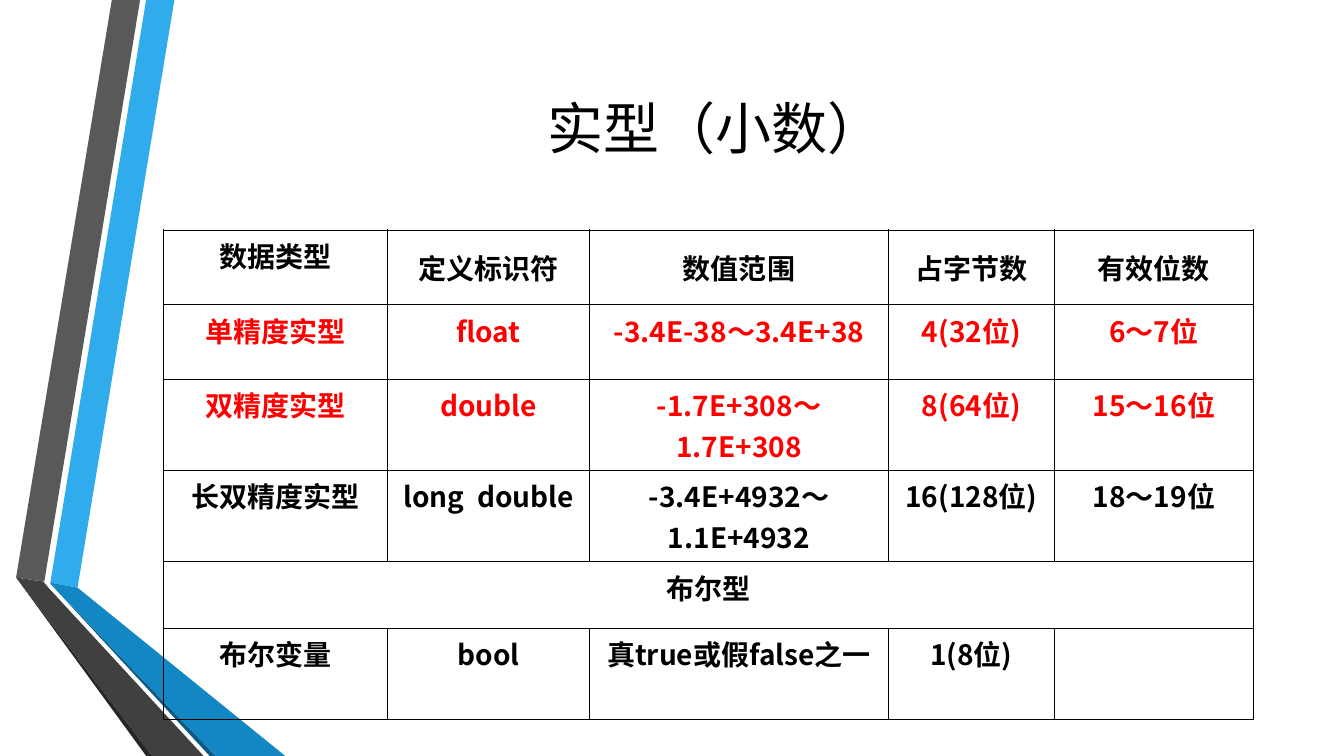
from lxml import etree
from pptx import Presentation, util as u
from pptx.dml.color import RGBColor
from pptx.enum import text
from pptx.oxml.ns import qn

# Content
TITLE = "实型（小数）"
HEADER = ("数据类型", "定义标识符", "数值范围", "占字节数", "有效位数")
TYPES = [
    ("单精度实型", "float", "-3.4E-38～3.4E+38", "4(32位)", "6～7位"),
    ("双精度实型", "double", "-1.7E+308～1.7E+308", "8(64位)", "15～16位"),
    ("长双精度实型", "long  double", "-3.4E+4932～1.1E+4932", "16(128位)", "18～19位"),
    ("布尔型", "", "", "", ""),
    ("布尔变量", "bool", "真true或假false之一", "1(8位)", ""),
]
ROWS = [HEADER] + TYPES
HIGHLIGHTED_ROWS = (1, 2)
SECTION_ROW = 4

COLUMN_WIDTHS = (2.22, 2.01, 2.96, 1.65, 1.97)
ROW_HEIGHTS = (0.74, 0.74, 0.74, 0.74, 0.66, 0.9)

# Ribbon facets, back to front: colour and corner points in inches
RIBBON = [
    ("30ACEC", [(0.5, 5.78), (0.77, 5.83), (1.73, 0), (1.45, 0)]),
    ("595959", [(1.39, 0), (1.11, 0), (0.16, 5.73), (0.44, 5.77)]),
    ("262626", [(0.16, 5.73), (1.45, 7.5), (1.51, 7.5)]),
    ("0C5A82", [(0.5, 5.79), (2.08, 7.5), (2.14, 7.5)]),
    ("1287C3", [(0.5, 5.79), (2.14, 7.5), (2.83, 7.5), (0.77, 5.83), (0.5, 5.78)]),
    ("404040", [(2.02, 7.5), (0.48, 5.83), (0.43, 5.77), (0.16, 5.73), (1.51, 7.5)]),
]

THEME = {
    "text": "000000", "highlight": "FF0000", "border": "000000",
    "title_font": "Calibri", "table_font": "Noto Sans CJK SC",
    "title_size": 40, "table_size": 20, "space_before": 4, "border_width": 0.5,
}


def add_run(paragraph, words, font, size, color, bold=False):
    paragraph.alignment = text.PP_ALIGN.CENTER
    run = paragraph.add_run()
    run.text = words
    run.font.name = font
    run.font.size = u.Pt(size)
    run.font.bold = bold
    run.font.color.rgb = RGBColor.from_string(color)
    return run


def add_facet(slide, color, points):
    corners = [(u.Inches(x), u.Inches(y)) for x, y in points]
    builder = slide.shapes.build_freeform(*corners[0], scale=1.0)
    builder.add_line_segments(corners[1:], close=True)
    shape = builder.convert_to_shape()
    shape.shadow.inherit = False
    shape.fill.solid()
    shape.fill.fore_color.rgb = RGBColor.from_string(color)
    shape.line.fill.background()


def add_borders(cell):
    properties = cell._tc.get_or_add_tcPr()
    for position, side in enumerate(("lnL", "lnR", "lnT", "lnB")):
        line = etree.Element(qn("a:" + side), w=str(u.Pt(THEME["border_width"])))
        fill = etree.SubElement(line, qn("a:solidFill"))
        etree.SubElement(fill, qn("a:srgbClr"), val=THEME["border"])
        properties.insert(position, line)


def fill_cell(cell, words, color, anchor):
    cell.fill.background()
    add_borders(cell)
    cell.vertical_anchor = anchor
    if not words:
        return
    paragraph = cell.text_frame.paragraphs[0]
    paragraph.space_before = u.Pt(THEME["space_before"])
    run = add_run(paragraph, words, THEME["table_font"], THEME["table_size"], color, True)
    etree.SubElement(run._r.get_or_add_rPr(), qn("a:ea"), typeface=THEME["table_font"])


def add_type_table(slide):
    frame = slide.shapes.add_table(
        len(ROWS), len(HEADER), u.Inches(1.62), u.Inches(2.28),
        u.Inches(sum(COLUMN_WIDTHS)), u.Inches(sum(ROW_HEIGHTS)))
    table = frame.table
    table.first_row = table.horz_banding = False
    for column, width in zip(table.columns, COLUMN_WIDTHS):
        column.width = u.Inches(width)
    for row, height in zip(table.rows, ROW_HEIGHTS):
        row.height = u.Inches(height)
    for r, row in enumerate(ROWS):
        color = THEME["highlight" if r in HIGHLIGHTED_ROWS else "text"]
        for c, words in enumerate(row):
            centred = r == 0 and c > 0
            anchor = text.MSO_ANCHOR.MIDDLE if centred else text.MSO_ANCHOR.TOP
            fill_cell(table.cell(r, c), words, color, anchor)
    table.cell(SECTION_ROW, 0).merge(table.cell(SECTION_ROW, len(HEADER) - 1))


def main():
    presentation = Presentation()
    presentation.slide_width = u.Inches(13.33)
    presentation.slide_height = u.Inches(7.5)
    slide = presentation.slides.add_slide(presentation.slide_layouts[5])

    # Folded ribbon on the left
    for color, points in RIBBON:
        add_facet(slide, color, points)

    # Title
    title = slide.shapes.title
    title.left, title.top = u.Inches(1.62), u.Inches(0.75)
    title.width, title.height = u.Inches(10.96), u.Inches(1.03)
    title.text_frame.vertical_anchor = text.MSO_ANCHOR.MIDDLE
    add_run(title.text_frame.paragraphs[0], TITLE,
            THEME["title_font"], THEME["title_size"], THEME["text"])

    # Table of data types
    add_type_table(slide)
    presentation.save("out.pptx")


if __name__ == "__main__":
    main()
